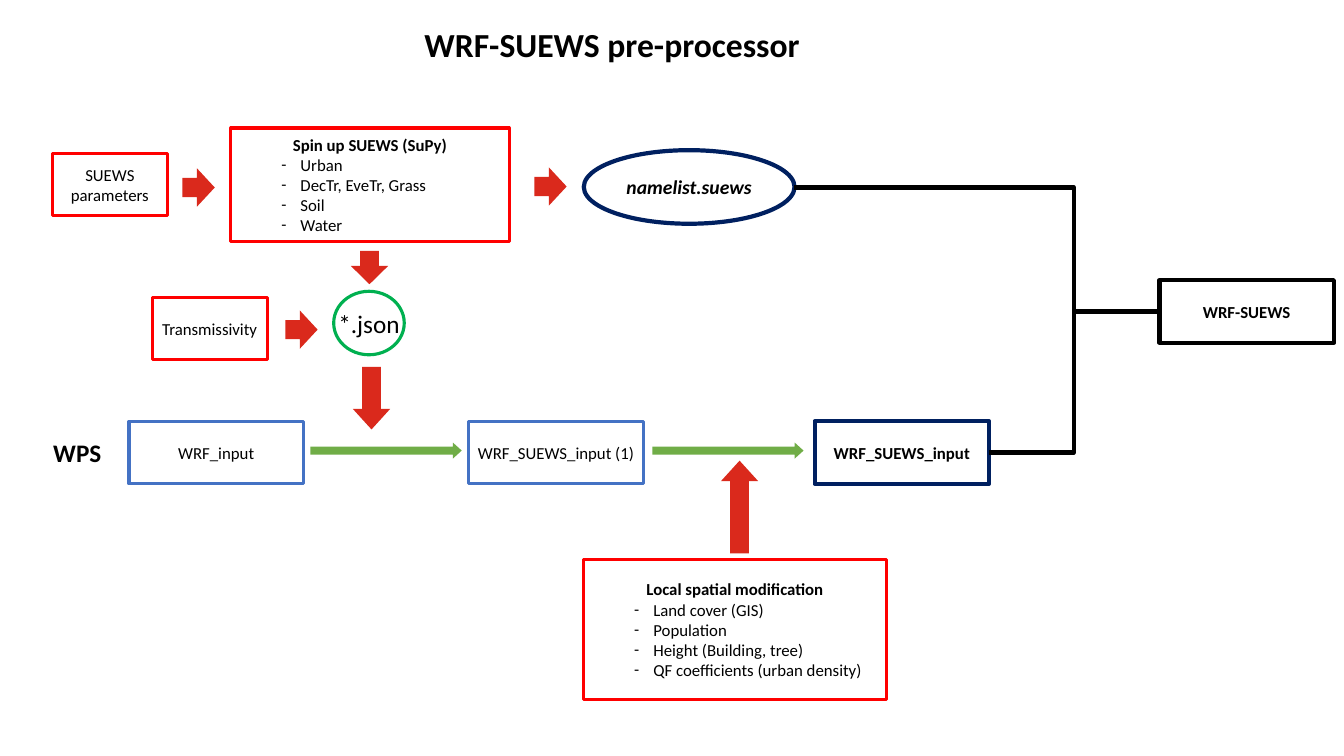
from dataclasses import dataclass

from lxml import etree
from pptx import Presentation
from pptx.dml.color import RGBColor
from pptx.enum.shapes import MSO_CONNECTOR, MSO_SHAPE
from pptx.enum.text import MSO_ANCHOR, MSO_AUTO_SIZE, PP_ALIGN
from pptx.oxml.ns import qn
from pptx.util import Pt

RECT, OVAL, DOWN_ARROW = MSO_SHAPE.RECTANGLE, MSO_SHAPE.OVAL, MSO_SHAPE.DOWN_ARROW
ELBOW = MSO_CONNECTOR.ELBOW
TOP, MIDDLE = MSO_ANCHOR.TOP, MSO_ANCHOR.MIDDLE
LEFT, CENTER = PP_ALIGN.LEFT, PP_ALIGN.CENTER
NO_FIT = MSO_AUTO_SIZE.NONE
EMU_PER_PX = 9144  # 100 px to the inch
TURN = {"down": 0, "up": 180, "right": 270}


@dataclass(frozen=True)
class Theme:
    font: str = "Calibri"
    black: str = "000000"
    white: str = "FFFFFF"
    red: str = "FF0000"
    blue: str = "4472C4"
    navy: str = "002060"
    ring_green: str = "00B050"
    arrow_red: str = "DA291C"
    arrow_green: str = "70AD47"
    title: int = 24
    heading: int = 18
    file: int = 14
    body: int = 12
    thin: float = 2.25
    thick: float = 3


THEME = Theme()


@dataclass(frozen=True)
class Box:
    x: int
    y: int
    w: int
    h: int

    def inner(self, dx, dy, w, h):
        """Return a box offset from this one's top left corner."""
        return Box(self.x + dx, self.y + dy, w, h)

    def emu(self):
        return [px(v) for v in (self.x, self.y, self.w, self.h)]


def px(value):
    return round(value * EMU_PER_PX)


def rgb(color):
    return RGBColor.from_string(color)


def style(p, size, bold=False, italic=False, align=CENTER):
    p.alignment = align
    p.font.name = THEME.font
    p.font.size = Pt(size)
    p.font.bold = bold
    p.font.italic = italic
    p.font.color.rgb = rgb(THEME.black)


def add_node(slide, box, text, color, kind=RECT, fill=None, width=THEME.thin,
             size=THEME.body, bold=False, italic=False):
    sp = slide.shapes.add_shape(kind, *box.emu())
    sp.shadow.inherit = False
    if fill:
        sp.fill.solid()
        sp.fill.fore_color.rgb = rgb(fill)
    else:
        sp.fill.background()
    sp.line.color.rgb = rgb(color)
    sp.line.width = Pt(width)
    tf = sp.text_frame
    tf.vertical_anchor = MIDDLE
    tf.word_wrap = kind == RECT
    if kind == RECT:
        tf.margin_left = tf.margin_right = tf.margin_top = tf.margin_bottom = 0
    tf.text = text
    style(tf.paragraphs[0], size, bold, italic)
    return sp


def add_list_node(slide, box, heading, items):
    """Add a red box with a bold heading over a dashed list."""
    tf = add_node(slide, box, heading, THEME.red, bold=True).text_frame
    for item in items:
        p = tf.add_paragraph()
        p.text = item
        p.level = 1
        style(p, THEME.body, align=LEFT)
        p_pr = p._p.get_or_add_pPr()
        p_pr.set("marL", str(px(69)))
        p_pr.set("indent", str(px(-19)))
        etree.SubElement(p_pr, qn("a:buFont")).set("typeface", THEME.font)
        etree.SubElement(p_pr, qn("a:buChar")).set("char", "-")
        # The schema wants bullets ahead of the default run properties.
        p_pr.append(p_pr.find(qn("a:defRPr")))


def add_arrow(slide, box, direction, color=THEME.arrow_red):
    """Fill the box with a block arrow, turned from a down arrow."""
    if direction == "right":
        shift = (box.w - box.h) / 2
        box = Box(box.x + shift, box.y - shift, box.h, box.w)
    sp = slide.shapes.add_shape(DOWN_ARROW, *box.emu())
    sp.shadow.inherit = False
    sp.rotation = TURN[direction]
    sp.adjustments[0], sp.adjustments[1] = 0.5, 0.55
    sp.fill.solid()
    sp.fill.fore_color.rgb = rgb(color)
    sp.line.fill.background()


def add_elbow(slide, x1, y1, x2, y2, bend_x):
    line = slide.shapes.add_connector(ELBOW, px(x1), px(y1), px(x2), px(y2))
    line.line.color.rgb = rgb(THEME.black)
    line.line.width = Pt(THEME.thick)
    sp_pr = line._element.spPr
    etree.SubElement(sp_pr, qn("a:effectLst"))
    guides = sp_pr.find(qn("a:prstGeom")).get_or_add_avLst()
    bend = round(100000 * (bend_x - x1) / (x2 - x1))
    etree.SubElement(guides, qn("a:gd"), name="adj1", fmla=f"val {bend}")


def title(slide, box):
    sp = slide.shapes.title
    sp.left, sp.top, sp.width, sp.height = box.emu()
    tf = sp.text_frame
    tf.text = "WRF-SUEWS pre-processor"
    tf.word_wrap = False
    tf.auto_size = NO_FIT
    tf.vertical_anchor = TOP
    style(tf.paragraphs[0], THEME.title, bold=True, align=LEFT)


def spin_up_row(slide, box):
    add_node(slide, box.inner(0, 25, 114, 62), "SUEWS parameters", THEME.red)
    add_arrow(slide, box.inner(129, 40, 32, 38), "right")
    add_list_node(slide, box.inner(177, 0, 276, 113), "Spin up SUEWS (SuPy)",
                  ["Urban", "DecTr, EveTr, Grass", "Soil", "Water"])
    add_arrow(slide, box.inner(478, 39, 32, 38), "right")
    add_node(slide, box.inner(527, 22, 209, 73), "namelist.suews", THEME.navy, OVAL,
             THEME.white, THEME.thick, THEME.file, bold=True, italic=True)


def json_stage(slide, box):
    add_arrow(slide, box.inner(197, 0, 37, 33), "down")
    add_node(slide, box.inner(0, 46, 114, 62), "Transmissivity", THEME.red)
    add_arrow(slide, box.inner(132, 59, 32, 38), "right")
    add_node(slide, box.inner(180, 40, 70, 63), "*.json", THEME.ring_green, OVAL,
             THEME.white, size=THEME.heading)
    add_arrow(slide, box.inner(199, 115, 37, 62), "down")


def wps_row(slide, box):
    label = slide.shapes.add_textbox(*box.inner(0, 11, 73, 44).emu())
    tf = label.text_frame
    tf.word_wrap = False
    tf.text = "WPS"
    style(tf.paragraphs[0], THEME.heading, bold=True, align=LEFT)
    for dx, text, color, width, bold in (
            (85, "WRF_input", THEME.blue, THEME.thin, False),
            (422, "WRF_SUEWS_input (1)", THEME.blue, THEME.thin, False),
            (765, "WRF_SUEWS_input", THEME.navy, THEME.thick, True)):
        add_node(slide, box.inner(dx, 0, 173, 62), text, color, width=width, bold=bold)
    for dx in (265, 604):
        add_arrow(slide, box.inner(dx, 21, 150, 16), "right", THEME.arrow_green)


def local_modification(slide, box):
    add_arrow(slide, box.inner(136, 0, 37, 92), "up")
    add_list_node(slide, box.inner(0, 98, 300, 139), "Local spatial modification",
                  ["Land cover (GIS)", "Population", "Height (Building, tree)",
                   "QF coefficients (urban density)"])


def coupled_model(slide, box):
    """Join the two branches at the final model."""
    model = box.inner(362, 92, 173, 62)
    middle, bend_x = model.y + model.h // 2, box.x + 277
    add_elbow(slide, box.x, box.y, model.x, middle, bend_x)
    add_elbow(slide, box.x + 193, box.y + box.h, model.x, middle, bend_x)
    add_node(slide, model, "WRF-SUEWS", THEME.black, width=THEME.thick, bold=True)


def main():
    prs = Presentation()
    prs.slide_width, prs.slide_height = px(1333), px(750)
    slide = prs.slides.add_slide(prs.slide_layouts[5])
    title(slide, Box(411, 19, 396, 50))
    spin_up_row(slide, Box(52, 127, 736, 113))
    json_stage(slide, Box(151, 249, 250, 177))
    wps_row(slide, Box(43, 418, 938, 62))
    local_modification(slide, Box(579, 457, 300, 237))
    coupled_model(slide, Box(788, 186, 535, 263))
    prs.save("out.pptx")


if __name__ == "__main__":
    main()
